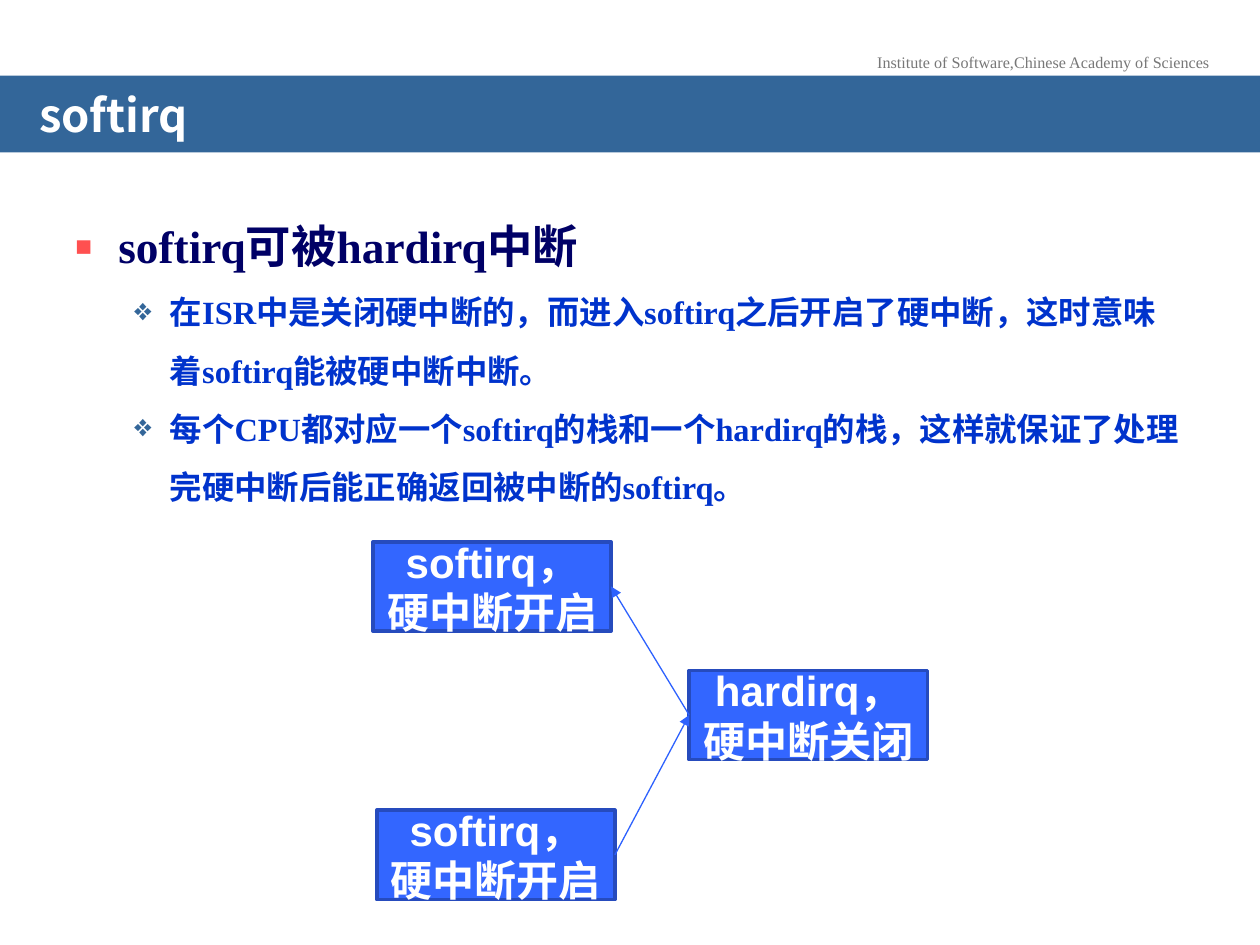
from lxml.etree import SubElement
from pptx import Presentation
from pptx.dml.color import RGBColor
from pptx.enum.shapes import MSO_CONNECTOR as Connector, MSO_SHAPE as Shape
from pptx.enum.text import MSO_ANCHOR as Anchor, MSO_AUTO_SIZE as AutoSize, PP_ALIGN as Align
from pptx.oxml.ns import qn
from pptx.util import Inches, Pt

COLORS = {
    "band": "336699", "white": "FFFFFF", "credit": "777777",
    "heading": "000066", "detail": "0033CC", "square": "FF5050",
    "box": "3366FF", "border": "264BBD", "arrow": "2D61FE",
}
SERIF, SANS, CJK = "Times New Roman", "Arial", "Noto Sans CJK SC"
TOP, LEFT, BOTTOM, RIGHT = range(4)


def color(name):
    return RGBColor.from_string(COLORS[name])


class SlideBuilder:
    """Holds the style and the current slide."""

    def __init__(self, deck):
        self.page = deck.slides.add_slide(deck.slide_layouts[5])

    def add_span(self, para, text, size, font, color_name, bold=True):
        span = para.add_run()
        span.text = text
        span.font.size = Pt(size)
        span.font.name = font
        span.font.bold = bold
        span.font.color.rgb = color(color_name)
        SubElement(span.font._element, qn("a:ea"), typeface=CJK)

    def add_text_box(self, left, top, width, height, wrap=True):
        box = self.page.shapes.add_textbox(
            Inches(left), Inches(top), Inches(width), Inches(height))
        box.text_frame.word_wrap = wrap
        return box.text_frame

    def add_credit(self, text):
        para = self.add_text_box(6.84, 0.37, 2.88, 0.26, wrap=False).paragraphs[0]
        para.alignment = Align.CENTER
        self.add_span(para, text, 9.2, SERIF, "credit", bold=False)

    def set_title(self, text):
        title = self.page.shapes.title
        title.left, title.top = Inches(0), Inches(0.6)
        title.width, title.height = Inches(10), Inches(0.61)
        title.fill.solid()
        title.fill.fore_color.rgb = color("band")
        frame = title.text_frame
        frame.auto_size = AutoSize.NONE
        frame.vertical_anchor = Anchor.MIDDLE
        frame.margin_left = frame.margin_right = Inches(0.31)
        frame.margin_top, frame.margin_bottom = Inches(0.16), Inches(0.05)
        para = frame.paragraphs[0]
        para.alignment = Align.LEFT
        para.line_spacing = 0.7
        self.add_span(para, text, 25.9, CJK, "white")

    def add_bullet(self, para, symbol, color_name, percent, indent, hanging):
        props = para._p.get_or_add_pPr()
        props.set("marL", str(Inches(indent)))
        props.set("indent", str(-Inches(hanging)))
        bullet_color = SubElement(props, qn("a:buClr"))
        SubElement(bullet_color, qn("a:srgbClr"), val=COLORS[color_name])
        SubElement(props, qn("a:buSzPct"), val=str(percent * 1000))
        SubElement(props, qn("a:buFont"), typeface=SERIF)
        SubElement(props, qn("a:buChar"), char=symbol)

    def add_outline(self, heading, details):
        frame = self.add_text_box(0.49, 1.47, 9.01, 5.35)
        for number, text in enumerate([heading, *details]):
            para = frame.add_paragraph() if number else frame.paragraphs[0]
            para.line_spacing = 1.5
            if number:
                para.level = 1
                self.add_bullet(para, "❖", "band", 75, 0.76, 0.29)
                self.add_span(para, text, 18.5, SERIF, "detail")
            else:
                self.add_bullet(para, "▪", "square", 120, 0.35, 0.35)
                self.add_span(para, text, 25.9, SERIF, "heading")

    def add_state(self, left, top, text):
        box = self.page.shapes.add_shape(
            Shape.RECTANGLE, Inches(left), Inches(top), Inches(1.89), Inches(0.71))
        box.shadow.inherit = False
        box.fill.solid()
        box.fill.fore_color.rgb = color("box")
        box.line.color.rgb = color("border")
        box.line.width = Pt(2)
        box.text_frame.word_wrap = True
        box.text_frame.vertical_anchor = Anchor.MIDDLE
        para = box.text_frame.paragraphs[0]
        para.alignment = Align.CENTER
        self.add_span(para, text, 24, SANS, "white")
        return box

    def add_arrow(self, start, start_side, end, end_side):
        arrow = self.page.shapes.add_connector(Connector.STRAIGHT, 0, 0, 0, 0)
        arrow.begin_connect(start, start_side)
        arrow.end_connect(end, end_side)
        arrow.line.color.rgb = color("arrow")
        arrow.line.width = Pt(0.75)
        SubElement(arrow.line._get_or_add_ln(), qn("a:tailEnd"), type="triangle")
        SubElement(arrow._element.spPr, qn("a:effectLst"))


def main():
    deck = Presentation()
    deck.slide_width, deck.slide_height = Inches(10), Inches(7.5)
    slide = SlideBuilder(deck)
    slide.add_credit("Institute of Software,Chinese Academy of Sciences")
    slide.set_title("softirq")
    slide.add_outline("softirq可被hardirq中断", [
        "在ISR中是关闭硬中断的，而进入softirq之后开启了硬中断，这时意味着softirq能被硬中断中断。",
        "每个CPU都对应一个softirq的栈和一个hardirq的栈，这样就保证了处理完硬中断后能正确返回被中断的softirq。",
    ])
    interrupted = slide.add_state(2.99, 6.43, "softirq，硬中断开启")
    resumed = slide.add_state(2.96, 4.3, "softirq，硬中断开启")
    handler = slide.add_state(5.47, 5.32, "hardirq，硬中断关闭")
    slide.add_arrow(interrupted, RIGHT, handler, LEFT)
    slide.add_arrow(handler, LEFT, resumed, RIGHT)
    deck.save("out.pptx")


if __name__ == "__main__":
    main()
